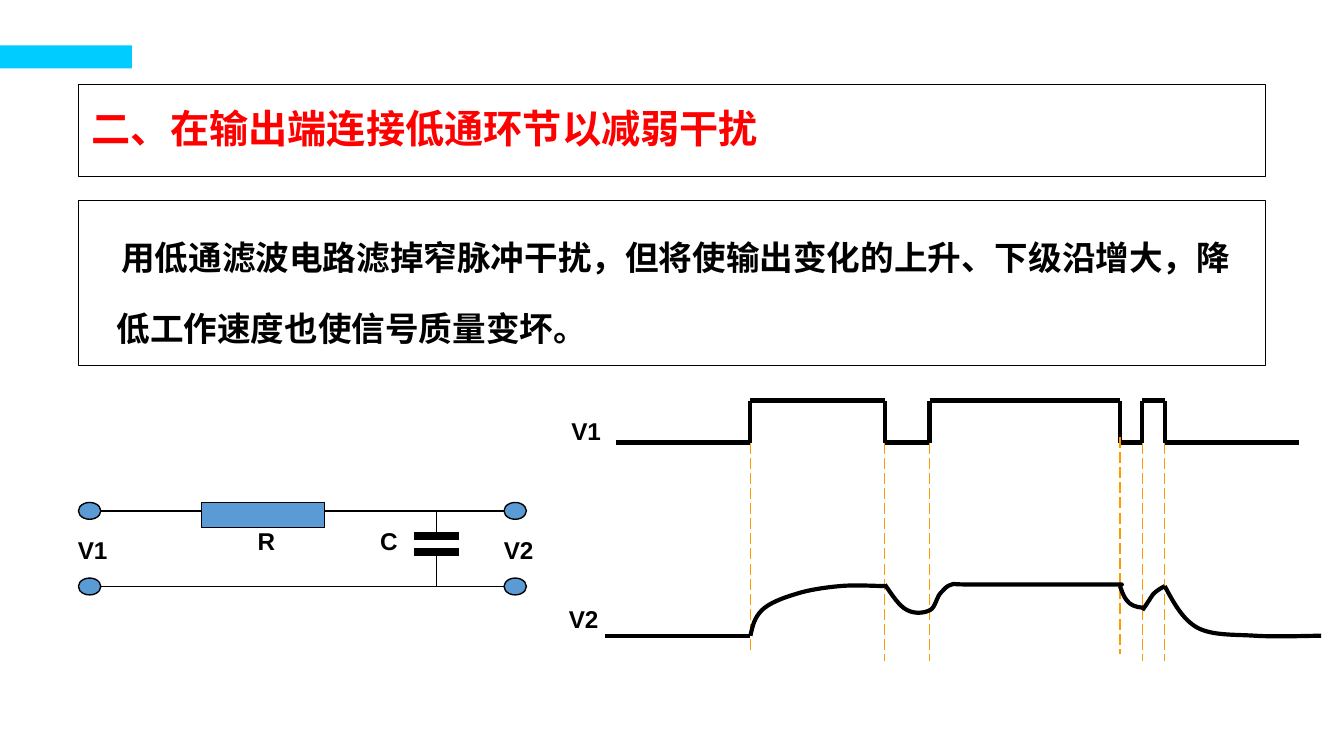
from lxml import etree
from pptx import Presentation
from pptx.dml.color import RGBColor
from pptx.enum.dml import MSO_LINE
from pptx.enum.shapes import MSO_CONNECTOR, MSO_SHAPE
from pptx.enum.text import MSO_ANCHOR, MSO_AUTO_SIZE, PP_ALIGN
from pptx.oxml.ns import qn
from pptx.util import Pt

RECTANGLE = MSO_SHAPE.RECTANGLE
OVAL = MSO_SHAPE.OVAL
STRAIGHT = MSO_CONNECTOR.STRAIGHT
LONG_DASH = MSO_LINE.LONG_DASH
TOP = MSO_ANCHOR.TOP
MIDDLE = MSO_ANCHOR.MIDDLE
LEFT = PP_ALIGN.LEFT
FIT_SHAPE = MSO_AUTO_SIZE.SHAPE_TO_FIT_TEXT

BLACK, WHITE, RED = "000000", "FFFFFF", "FF0000"
CYAN, BLUE, ORANGE = "00CCFF", "5B9BD5", "FF9900"

EDGES = [78, 150, 174, 276, 288, 300]
GUIDE_STARTS = [22.5, 22.5, 22.5, 19.5, 22.5, 22.5]
GUIDE_ENDS = [135, 139.5, 139.5, 136, 139.5, 139.5]
FILTERED_CURVES = [
    [(78, 126), (79.2, 121), (79.9, 116.6), (84.2, 112.3),
     (87.8, 108.7), (95, 105.8), (102.2, 103.7),
     (108.7, 101.5), (118, 100.1), (126, 99.4),
     (133.9, 98.6), (146.2, 99.4), (150, 99.4)],
    [(150, 98.6), (154.1, 104.4), (157.7, 110.2), (162, 112.3),
     (166.3, 114.5), (171.4, 113.8), (174.2, 112.3),
     (177.1, 110.9), (177.8, 105.1), (180, 103),
     (182.2, 100.8), (182.9, 99.4), (185.8, 98.6),
     (188.6, 97.9), (182.9, 98.6), (198, 98.6),
     (213, 98.6), (267.8, 98.6), (276, 98.6),
     (283.7, 98.6), (247, 98.6), (246, 98.6),
     (245, 98.6), (258, 98.6), (270, 98.6)],
    [(276, 99.4), (277.9, 104.4), (279.4, 110.9), (288.7, 110.9)],
    [(300, 99.4), (304.6, 108), (309.6, 117.4), (317.5, 121.7),
     (325.4, 126), (337.7, 125.3), (348.5, 126),
     (360, 126.7), (378, 126), (383.8, 126)],
    [(288, 112.3), (290.2, 109.4), (292.3, 105.8), (293.8, 103.7),
     (295.9, 101.5), (298.8, 100.1), (300, 99.4)],
]


def color(value):
    return RGBColor.from_string(value)


def add_block(parent, kind, left, top, width, height, fill, outline=BLACK):
    block = parent.shapes.add_shape(kind, Pt(left), Pt(top), Pt(width), Pt(height))
    block.shadow.inherit = False
    block.fill.solid()
    block.fill.fore_color.rgb = color(fill)
    if outline:
        block.line.color.rgb = color(outline)
        block.line.width = Pt(0.75)
    else:
        block.line.fill.background()
    return block


def add_line(parent, start, end, width=0.75, stroke=BLACK, dash=None):
    line = parent.shapes.add_connector(
        STRAIGHT, Pt(start[0]), Pt(start[1]), Pt(end[0]), Pt(end[1]))
    line.line.color.rgb = color(stroke)
    line.line.width = Pt(width)
    if dash:
        line.line.dash_style = dash
    etree.SubElement(line._element.spPr, qn("a:effectLst"))


def style_paragraph(para, text, size, font, fill, spacing):
    para.text = text
    para.alignment = LEFT
    para.line_spacing = spacing
    para.font.size = Pt(size)
    para.font.name = font
    para.font.bold = True
    para.font.color.rgb = color(fill)


def add_label(parent, text, left, top, width):
    label = parent.shapes.add_textbox(Pt(left), Pt(top), Pt(width), Pt(21.6))
    label.text_frame.word_wrap = False
    label.text_frame.auto_size = FIT_SHAPE
    style_paragraph(label.text_frame.paragraphs[0], text, 13, "Arial", BLACK, 0.9)


def add_curve(parent, left, top, points):
    placed = [(Pt(left + x), Pt(top + y)) for x, y in points]
    builder = parent.shapes.build_freeform(*placed[0])
    builder.add_line_segments(placed[1:], close=False)
    curve = builder.convert_to_shape()
    segments = list(curve._element.iter(qn("a:lnTo")))
    for first in range(0, len(segments), 3):
        bezier = etree.Element(qn("a:cubicBezTo"))
        segments[first].addprevious(bezier)
        for segment in segments[first:first + 3]:
            bezier.append(segment[0])
            segment.getparent().remove(segment)
    curve.shadow.inherit = False
    curve.fill.background()
    curve.line.color.rgb = color(BLACK)
    curve.line.width = Pt(2.25)


def add_panel(page, box, anchor, text, size, fill, spacing):
    panel = add_block(page, RECTANGLE, *box, WHITE)
    frame = panel.text_frame
    frame.word_wrap = True
    frame.vertical_anchor = anchor
    para = frame.paragraphs[0]
    style_paragraph(para, text, size, "Calibri", fill, spacing)
    return para


def add_title(page, box):
    add_panel(page, box, MIDDLE, "二、在输出端连接低通环节以减弱干扰", 21, RED, 0.9)


def add_body(page, box):
    para = add_panel(
        page, box, TOP,
        "用低通滤波电路滤掉窄脉冲干扰，但将使输出变化的上升、下级沿增大，降低工作速度也使信号质量变坏。",
        18, BLACK, 1.75)
    properties = para._p.get_or_add_pPr()
    properties.set("marL", str(Pt(13.3)))
    properties.set("indent", str(Pt(2.6)))


def add_circuit(page, box):
    left, top, width, height = box
    circuit = page.shapes.add_group_shape()
    upper, lower = top + 4.5, top + height - 4.5
    right = left + width - 12
    resistor, resistor_width = left + 66, 66
    capacitor = left + 192
    plates = [top + 18, top + 26.7]

    add_block(circuit, RECTANGLE, resistor, top, resistor_width, 13.5, BLUE)
    add_line(circuit, (left + 6, upper), (resistor, upper))
    add_line(circuit, (left + 6, lower), (right, lower))
    add_line(circuit, (resistor + resistor_width, upper), (right, upper))
    add_line(circuit, (capacitor, upper), (capacitor, plates[0]))
    add_line(circuit, (capacitor, plates[1]), (capacitor, lower))
    for plate in plates:
        add_line(circuit, (capacitor - 12, plate), (capacitor + 12, plate), 4.5)
    for terminal in (left, right):
        for wire in (upper, lower):
            add_block(circuit, OVAL, terminal, wire - 4.5, 12, 9, BLUE)
    for text, x, y, label_width in [("V1", -7.4, 16, 36.7), ("V2", 220.8, 16, 36.7),
                                    ("R", 89, 11, 27.4), ("C", 154.6, 11, 27.4)]:
        add_label(circuit, text, left + x, top + y, label_width)


def add_waveforms(page, box):
    left, top, width, height = box
    waves = page.shapes.add_group_shape()
    low, base = top + 22.5, top + 126
    stops = [6, *EDGES, 372]
    for index, (start, end) in enumerate(zip(stops, stops[1:])):
        level = top if index % 2 else low
        add_line(waves, (left + start, level), (left + end, level), 2.25)
    for edge in EDGES:
        add_line(waves, (left + edge, top), (left + edge, low), 2.25)
    add_line(waves, (left, base), (left + EDGES[0], base), 2.25)
    for edge, start, end in zip(EDGES, GUIDE_STARTS, GUIDE_ENDS):
        x = left + edge
        add_line(waves, (x, top + start), (x, top + end), 0.75, ORANGE, LONG_DASH)
    for points in FILTERED_CURVES:
        add_curve(waves, left, top, points)
    add_label(page, "V1", left - 25, top + 6.8, 36.7)
    add_label(page, "V2", left - 26.4, top + 107.3, 30.2)


def main():
    deck = Presentation()
    deck.slide_width, deck.slide_height = Pt(720), Pt(405)
    page = deck.slides.add_slide(deck.slide_layouts[6])
    add_block(page, RECTANGLE, 0, 24.3, 70.6, 12.4, CYAN, None)
    add_title(page, (42, 45.3, 636, 49.3))
    add_body(page, (42, 107.4, 636, 88.4))
    add_circuit(page, (42, 269.2, 240, 49.5))
    add_waveforms(page, (324, 214.6, 384, 139.5))
    deck.save("out.pptx")


if __name__ == "__main__":
    main()
